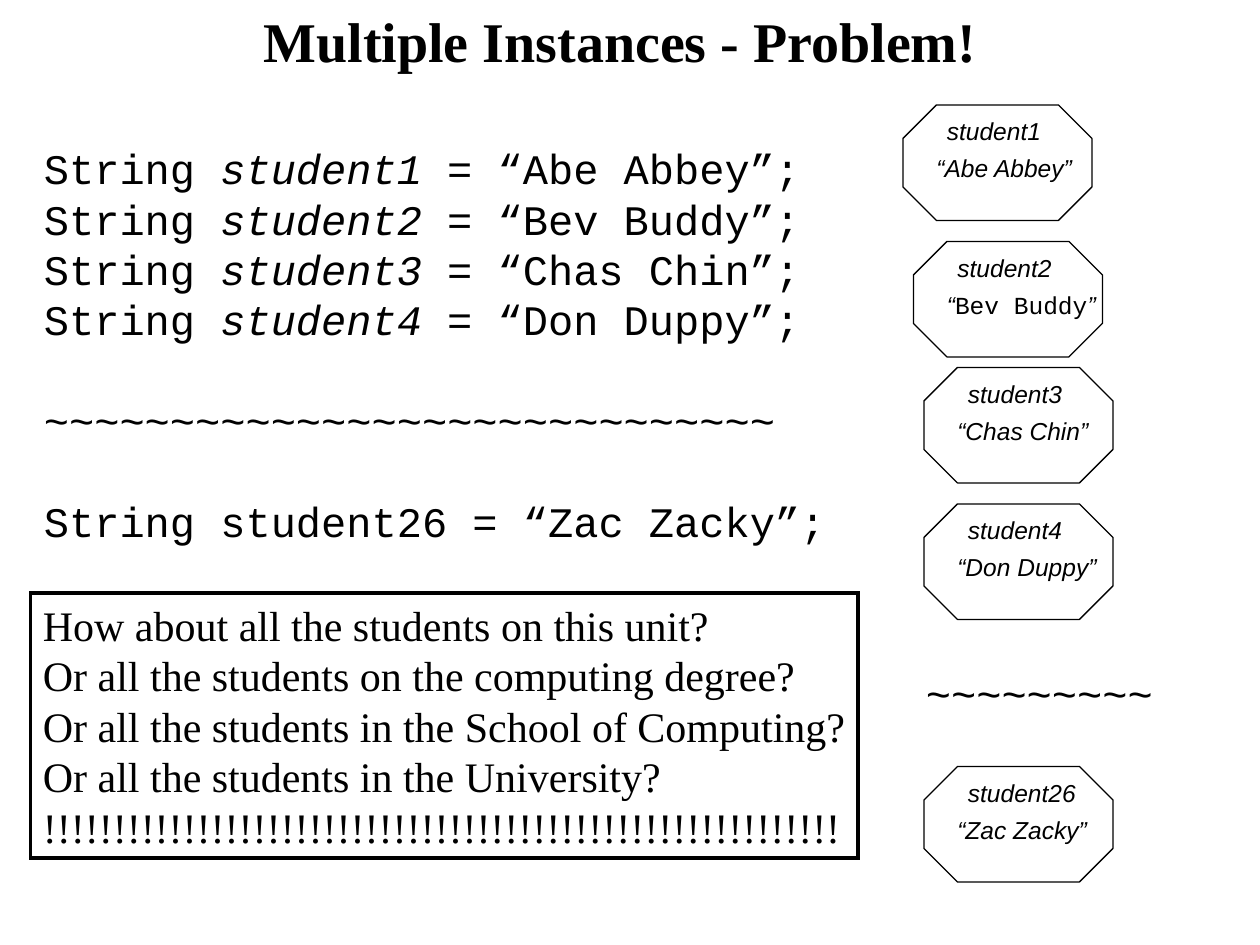
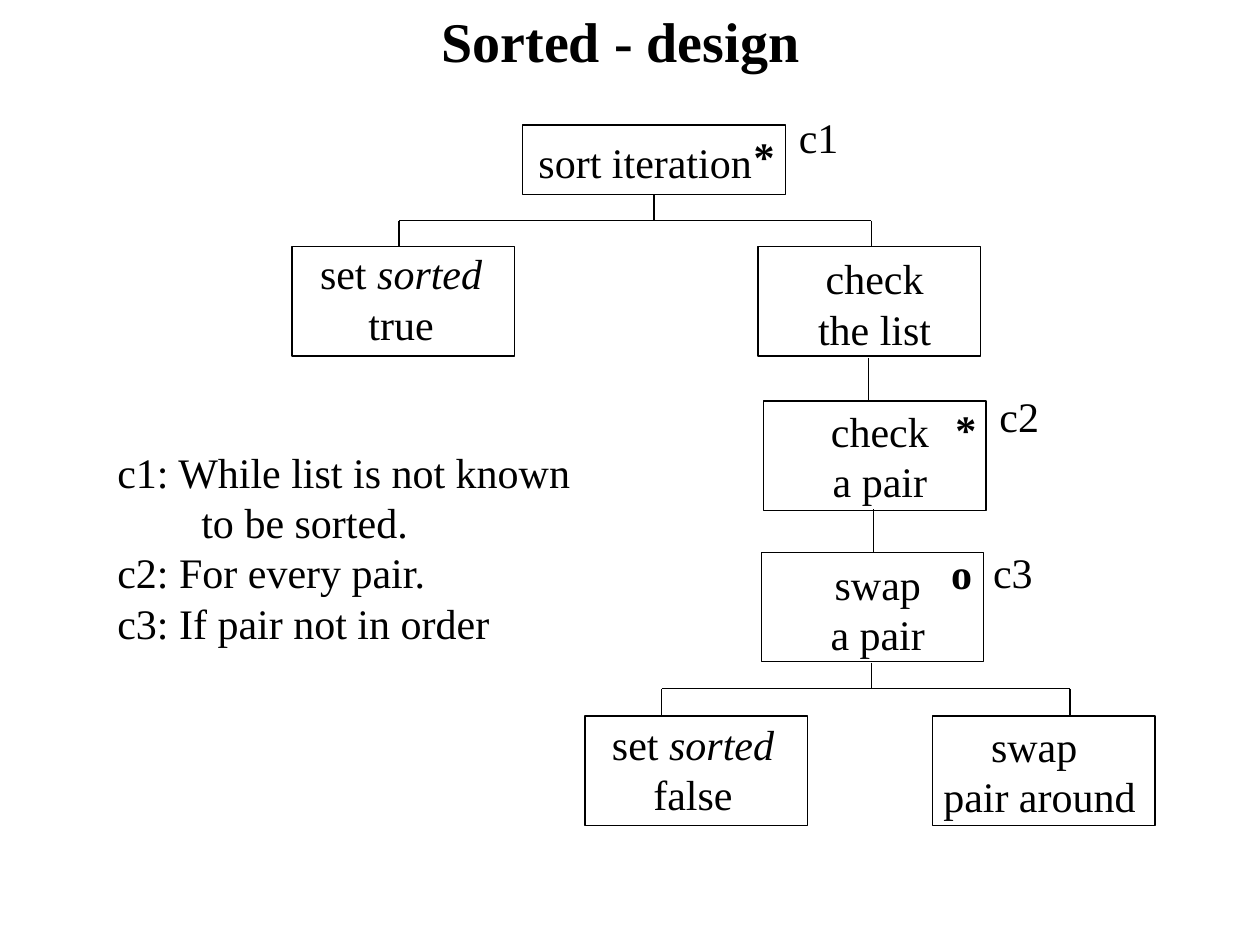
from lxml import etree
from pptx import Presentation
from pptx.dml.color import RGBColor
from pptx.enum import shapes, text
from pptx.oxml.ns import qn
from pptx.util import Pt

BLACK = RGBColor(0, 0, 0)
SERIF, SANS, MONO = "Times New Roman", "Arial", "Courier New"
LEFT, CENTER = text.PP_ALIGN.LEFT, text.PP_ALIGN.CENTER
LEADING = 1.2

prs = Presentation()
prs.slide_width, prs.slide_height = Pt(720), Pt(540)
UNIT = prs.slide_width / 120  # square grid, 120 columns by 90 rows


def grid(*cells):
    return [int(c * UNIT) for c in cells]


def add_text(parent, box, lines, size=24, font=SERIF, align=LEFT, bold=False,
             italic=False, wrap=True, kind=None):
    """Write one paragraph a line; underscores switch italics."""
    if kind is None:
        sp = parent.add_textbox(*grid(*box))
    else:
        sp = parent.add_shape(kind, *grid(*box))
        sp.shadow.inherit = False
        sp.fill.background()
        sp.line.color.rgb = BLACK
        sp.line.width = Pt(0.75)
    tf = sp.text_frame
    tf.word_wrap = wrap
    tf.auto_size = text.MSO_AUTO_SIZE.SHAPE_TO_FIT_TEXT if lines else text.MSO_AUTO_SIZE.NONE
    tf.vertical_anchor = text.MSO_ANCHOR.TOP
    for i, line in enumerate(lines):
        p = tf.add_paragraph() if i else tf.paragraphs[0]
        p.alignment = align
        p.line_spacing = Pt(LEADING * size)
        for j, part in enumerate(line.split("_")):
            r = p.add_run()
            r.text = part
            r.font.name, r.font.size, r.font.bold = font, Pt(size), bold
            r.font.italic = italic != bool(j % 2)
            r.font.color.rgb = BLACK
    return sp


# Slides with the shared title
slides = []
for title in ("Multiple Instances - Problem!", "Sorted - design"):
    s = prs.slides.add_slide(prs.slide_layouts[6])
    add_text(s.shapes, (0, 0, 118.2, 7.7), [title], 32, align=CENTER, bold=True)
    slides.append(s)
problem, design = slides

# Slide 1: declarations
code = add_text(problem.shapes, (3, 13, 80, 39.6), [
    "String _student1_ = “Abe Abbey”;",
    "String _student2_ = “Bev Buddy”;",
    "String _student3_ = “Chas Chin”;",
    "String _student4_ = “Don Duppy”;",
    "~" * 29,
    "String student26 = “Zac Zacky”;"], font=MONO)
for p in code.text_frame.paragraphs[-2:]:
    p.space_before = Pt(LEADING * 24)

# Slide 1: one octagon for each student
students = [
    (86, 10, "student1", "“Abe Abbey”"),
    (87, 23, "student2", "“_Bev Buddy_”"),
    (88, 35, "student3", "“Chas Chin”"),
    (88, 48, "student4", "“Don Duppy”"),
    (88, 73, "student26", "“Zac Zacky”")]
for x, y, variable, value in students:
    group = problem.shapes.add_group_shape().shapes
    octagon = add_text(group, (x, y, 18, 11), [], kind=shapes.MSO_SHAPE.OCTAGON)
    octagon.adjustments[0] = 0.29
    add_text(group, (x + 3, y + 0.5, 14, 4.1), [variable], 14, SANS, italic=True)
    sp = add_text(group, (x + 2, y + 4, 18, 4.1), [value], 14, SANS, italic=True)
    for r in sp.text_frame.paragraphs[0].runs:
        if not r.font.italic:
            r.font.name = MONO
add_text(problem.shapes, (87, 63, 26, 6), ["~" * 9], font=MONO)

# Slide 1: questions in a square-cornered frame
questions = add_text(problem.shapes, (2.9, 56.5, 78.8, 25.2), [
    "How about all the students on this unit?",
    "Or all the students on the computing degree?",
    "Or all the students in the School of Computing?",
    "Or all the students in the University?",
    "!" * 57], wrap=False, kind=shapes.MSO_SHAPE.RECTANGLE)
questions.line.width = Pt(2)
etree.SubElement(questions._element.spPr.find(qn("a:ln")), qn("a:miter"), lim="800000")

# Slide 2: boxes of the structure chart, each with its text area
BOX_W, BOX_H, TEXT_H = 21.2, 10.4, 10.8
boxes = [
    ((49.8, 11.9, 25, 6.6), (49.1, 12.4, 24.7, 6), ["sort iteration"]),
    ((27.8, 23.5, BOX_W, BOX_H), (28.3, 23, 19.8, TEXT_H), ["set _sorted_", "true"]),
    ((72.2, 23.5, BOX_W, BOX_H), (75.7, 23.5, 15.2, TEXT_H), ["check", "the list"]),
    ((72.7, 38.2, BOX_W, BOX_H), (77, 38, 13.6, TEXT_H), ["check", "a pair"]),
    ((72.5, 52.6, BOX_W, BOX_H), (76.9, 52.6, 13.4, TEXT_H), ["swap", "a pair"]),
    ((55.7, 68.2, BOX_W, BOX_H), (56.1, 67.8, 19.8, TEXT_H), ["set _sorted_", "false"]),
    ((88.8, 68.2, BOX_W, BOX_H), (87.7, 68, 22.6, TEXT_H), ["swap ", "pair around"])]
for frame, area, lines in boxes:
    add_text(design.shapes, frame, [], kind=shapes.MSO_SHAPE.RECTANGLE)
    add_text(design.shapes, area, lines, align=CENTER)

# Slide 2: iteration and selection marks, with their conditions
for x, y, mark in ((70.6, 11.8, "*"), (89.8, 37.8, "*"), (89.4, 51.6, "o")):
    add_text(design.shapes, (x, y, 6, 6), [mark], bold=True)
for x, y, condition in ((74.9, 10, "c1"), (94, 36.6, "c2"), (93.4, 51.5, "c3")):
    add_text(design.shapes, (x, y, 8, 6), [condition])

# Slide 2: straight links, then two forks of stem, bar and two legs
links = [(82.7, 34.1, 82.7, 38.1), (83.2, 48.5, 83.2, 52.6)]
for stem, top, bar, bottom, left, right in ((62.3, 18.5, 21, 23.5, 38, 83),
                                            (83, 63.1, 65.6, 68.1, 63, 101.9)):
    links += [(stem, top, stem, bar), (left, bar, right, bar),
              (left, bar, left, bottom), (right, bar, right, bottom)]
for link in links:
    c = design.shapes.add_connector(shapes.MSO_CONNECTOR.STRAIGHT, *grid(*link))
    c.line.color.rgb = BLACK
    c.line.width = Pt(0.75)
    etree.SubElement(c._element.spPr, qn("a:effectLst"))

# Slide 2: key to the conditions
key = add_text(design.shapes, (10, 41.9, 48, 20.4), [
    "c1: While list is not known",
    "to be sorted.",
    "c2: For every pair.",
    "c3: If pair not in order"])
key.text_frame.paragraphs[1]._p.get_or_add_pPr().set("marL", str(grid(8)[0]))

prs.save("out.pptx")
